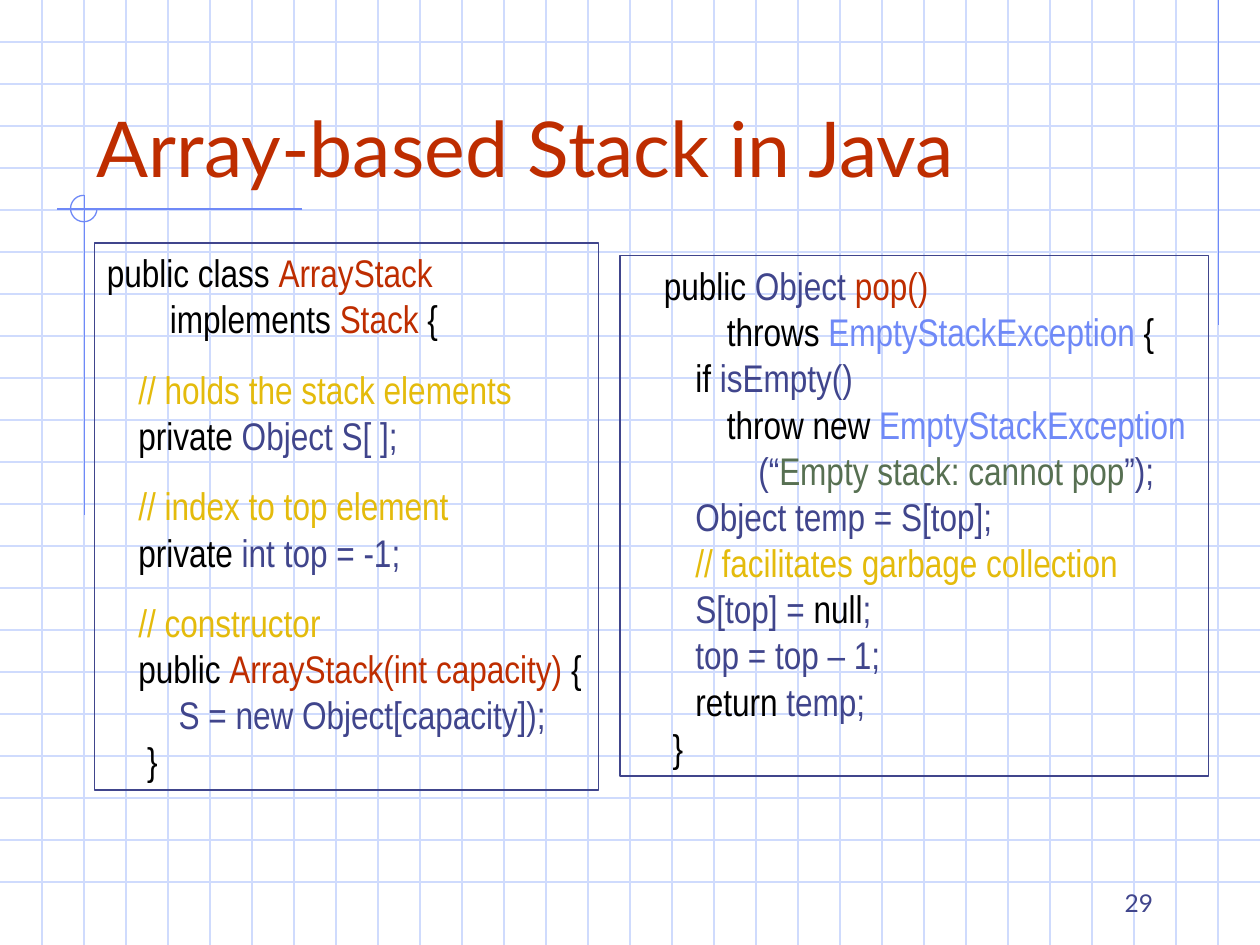
from dataclasses import dataclass

from lxml import etree
from pptx import Presentation
from pptx.dml.color import RGBColor as RGB
from pptx.enum.shapes import MSO_CONNECTOR as Conn, MSO_SHAPE as Shape
from pptx.enum.text import MSO_ANCHOR as Anchor, MSO_AUTO_SIZE as AutoSize, PP_ALIGN as Align
from pptx.oxml.ns import qn
from pptx.util import Inches, Pt


@dataclass(frozen=True)
class Theme:
    grid: RGB = RGB(0xCF, 0xDB, 0xFD)
    blue: RGB = RGB(0x6F, 0x89, 0xF7)
    navy: RGB = RGB(0x40, 0x45, 0x8C)
    red: RGB = RGB(0xBE, 0x2D, 0x00)
    gold: RGB = RGB(0xE4, 0xBB, 0x0C)
    green: RGB = RGB(0x57, 0x70, 0x52)
    black: RGB = RGB(0, 0, 0)
    sans: str = "Lato"
    code: str = "Arial Narrow"
    title_size: float = 44
    code_size: float = 22
    number_size: float = 14
    paragraph_gap: float = 13.8
    line_width: float = 0.75
    tab: float = 0.25
    tab_count: int = 7


T = Theme()
SLIDE_W, SLIDE_H = 10, 7.5
GRID_STEP = 1 / 3

# Each block is a list of paragraphs, each paragraph a list of lines,
# and each line a list of (text, colour) runs.
CLASS_CODE = [
    [
        [("public class ", T.black), ("ArrayStack", T.red)],
        [("\t\timplements ", T.black), ("Stack ", T.red), ("{", T.black)],
    ],
    [
        [("\t// holds the stack elements ", T.gold)],
        [("\tprivate ", T.black), ("Object S[ ];", T.navy)],
    ],
    [
        [("\t// index to top element", T.gold)],
        [("\tprivate", T.black), (" int top = -1;", T.navy)],
    ],
    [
        [("\t// constructor", T.gold)],
        [("\tpublic ", T.black), ("ArrayStack(int capacity) ", T.red), ("{", T.black)],
        [("\t\t S = new Object[capacity]);", T.navy)],
        [("\t }", T.black)],
    ],
]
POP_CODE = [
    [
        [("\tpublic", T.black), (" Object ", T.navy), ("pop()", T.red)],
        [("\t\t\tthrows ", T.black), ("EmptyStackException ", T.blue), ("{", T.black)],
        [("\t\tif", T.black), (" isEmpty()", T.navy)],
        [("\t\t\tthrow new ", T.black), ("EmptyStackException", T.blue)],
        [("\t\t\t\t(“", T.navy), ("Empty stack: cannot pop", T.green), ("”);", T.navy)],
        [("\t\tObject temp = S[top];", T.navy)],
        [("\t\t// facilitates garbage collection ", T.gold)],
        [("\t\tS[top] = ", T.navy), ("null", T.black), (";", T.navy)],
        [("\t\ttop = top – 1;", T.navy)],
        [("\t\treturn ", T.black), ("temp;", T.navy)],
        [("\t }", T.black)],
    ],
]


class SlideBuilder:
    def __init__(self, slide, theme):
        self.s = slide
        self.theme = theme

    def outline(self, sp, color):
        sp.line.color.rgb = color
        sp.line.width = Pt(self.theme.line_width)

    def style(self, r, font, size, color):
        r.font.name = font
        r.font.size = Pt(size)
        r.font.color.rgb = color

    def line(self, x1, y1, x2, y2, color):
        c = self.s.shapes.add_connector(
            Conn.STRAIGHT, Inches(x1), Inches(y1), Inches(x2), Inches(y2))
        self.outline(c, color)
        etree.SubElement(c._element.spPr, qn("a:effectLst"))

    def grid(self):
        for i in range(1, round(SLIDE_H / GRID_STEP)):
            self.line(0, i * GRID_STEP, SLIDE_W, i * GRID_STEP, self.theme.grid)
        for i in range(1, round(SLIDE_W / GRID_STEP)):
            self.line(i * GRID_STEP, 0, i * GRID_STEP, SLIDE_H, self.theme.grid)

    def shape(self, kind, x, y, w, h, color):
        """Add an unfilled, outlined preset shape."""
        sp = self.s.shapes.add_shape(kind, Inches(x), Inches(y), Inches(w), Inches(h))
        sp.shadow.inherit = False
        sp.fill.background()
        self.outline(sp, color)
        return sp

    def three_quarter_arc(self, x, y, size, color):
        arc = self.shape(Shape.ARC, x, y, size, size, color)
        arc.adjustments[0] = 0
        arc.adjustments[1] = 162  # 270 degrees

    def text(self, text, x, y, w, h, size, color, align=Align.LEFT):
        tf = self.s.shapes.add_textbox(Inches(x), Inches(y), Inches(w), Inches(h)).text_frame
        tf.word_wrap = True
        tf.vertical_anchor = Anchor.BOTTOM
        tf.text = text
        p = tf.paragraphs[0]
        p.alignment = align
        self.style(p.runs[0], self.theme.sans, size, color)

    def tab_stops(self, p):
        tabs = etree.SubElement(p._p.get_or_add_pPr(), qn("a:tabLst"))
        for i in range(1, self.theme.tab_count + 1):
            etree.SubElement(tabs, qn("a:tab"), pos=str(Inches(i * self.theme.tab)), algn="l")

    def code_box(self, paragraphs, x, y, w, h):
        tf = self.shape(Shape.RECTANGLE, x, y, w, h, self.theme.navy).text_frame
        tf.word_wrap = True
        tf.auto_size = AutoSize.SHAPE_TO_FIT_TEXT
        tf.vertical_anchor = Anchor.TOP
        for i, lines in enumerate(paragraphs):
            p = tf.add_paragraph() if i else tf.paragraphs[0]
            self.tab_stops(p)
            p.alignment = Align.LEFT
            if i:
                p.space_before = Pt(self.theme.paragraph_gap)
            for j, runs in enumerate(lines):
                if j:
                    p.add_line_break()
                for text, color in runs:
                    r = p.add_run()
                    r.text = text
                    self.style(r, self.theme.code, self.theme.code_size, color)


def main():
    prs = Presentation()
    prs.slide_width, prs.slide_height = Inches(SLIDE_W), Inches(SLIDE_H)
    b = SlideBuilder(prs.slides.add_slide(prs.slide_layouts[6]), T)

    b.grid()
    b.line(9.67, 0, 9.67, 2.58, T.blue)
    b.line(2.4, 1.66, 0.45, 1.66, T.blue)
    b.line(0.67, 1.55, 0.67, 4.09, T.blue)
    b.three_quarter_arc(0.56, 1.55, 0.21, T.blue)

    b.text("Array-based Stack in Java", 0.67, 0.33, 8.5, 1.25, T.title_size, T.red)
    b.code_box(CLASS_CODE, 0.75, 1.93, 4, 4.34)
    b.code_box(POP_CODE, 4.92, 2.03, 4.67, 4.13)
    b.text("29", 7.17, 6.83, 2.08, 0.5, T.number_size, T.navy, Align.RIGHT)

    prs.save("out.pptx")


if __name__ == "__main__":
    main()
